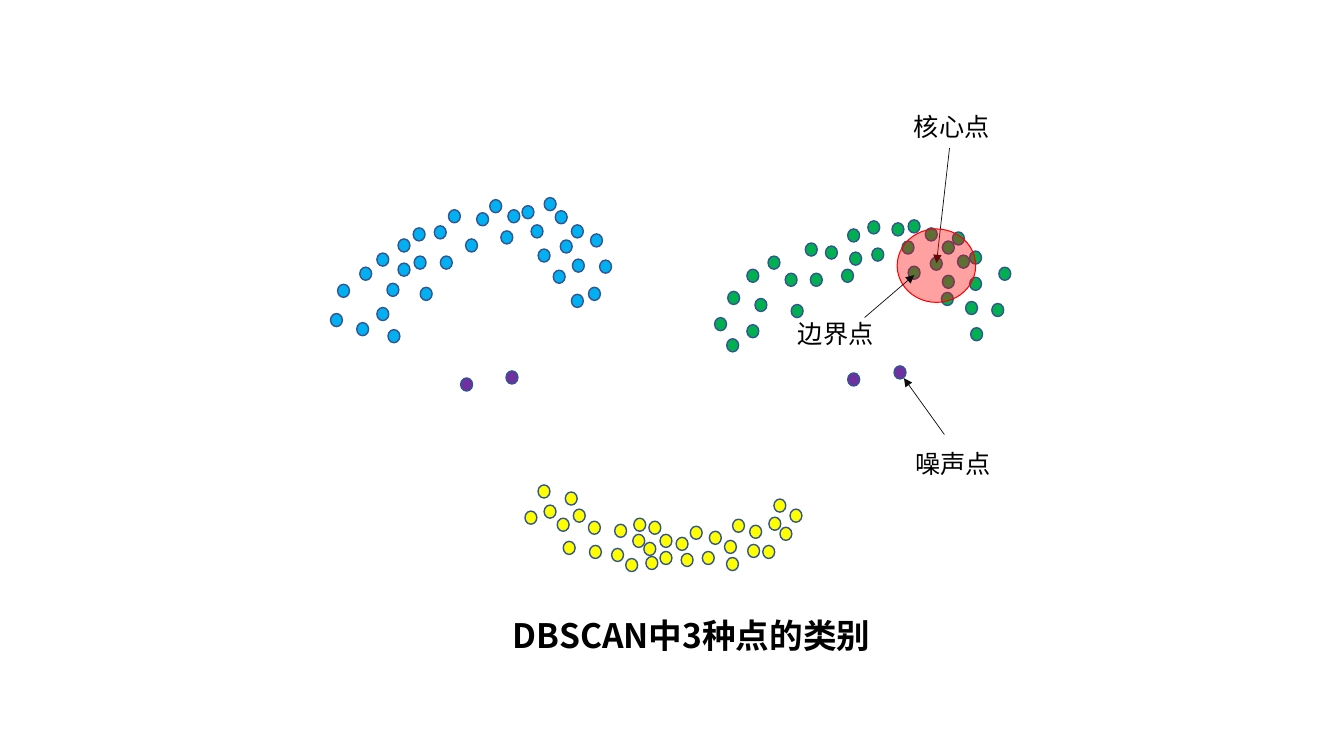
from lxml.etree import SubElement
from pptx import Presentation
from pptx.dml.color import RGBColor
from pptx.enum.shapes import MSO_CONNECTOR as CONNECTOR, MSO_SHAPE as SHAPE
from pptx.enum.text import MSO_ANCHOR as ANCHOR, MSO_AUTO_SIZE as AUTO_SIZE, PP_ALIGN as ALIGN
from pptx.oxml.ns import qn
from pptx.util import Cm, Pt

FONT = "Noto Sans CJK SC"
BLACK = RGBColor(0x00, 0x00, 0x00)
ARROW = RGBColor(0x0D, 0x0D, 0x0D)
OUTLINE = RGBColor(0x32, 0x54, 0x91)
BLUE = RGBColor(0x00, 0xB0, 0xF0)
GREEN = RGBColor(0x00, 0xB0, 0x50)
YELLOW = RGBColor(0xFF, 0xFF, 0x00)
PURPLE = RGBColor(0x70, 0x30, 0xA0)
RED = RGBColor(0xFF, 0x00, 0x00)

DOT_WIDTH, DOT_HEIGHT = Cm(0.3), Cm(0.33)
GRID = Cm(2.54) // 100  # one step of the point coordinates below

BLUE_POINTS = [
    (67, 41), (7, 86), (109, 58), (103, 28), (67, 65), (46, 109), (56, 85),
    (89, 89), (57, 131), (26, 124), (267, 62), (0, 115), (169, 33), (145, 15),
    (206, 51), (199, 27), (190, 8), (134, 41), (83, 58), (29, 69), (46, 55),
    (158, 2), (82, 30), (117, 12), (221, 72), (228, 42), (239, 96), (240, 61),
    (239, 27), (256, 89), (223, 13), (176, 12), (212, 0), (258, 36),
]
GREEN_POINTS = [
    (53, 36), (40, 78), (95, 53), (90, 23), (0, 97), (32, 104), (13, 71),
    (76, 84), (241, 35), (12, 118), (253, 57), (254, 107), (156, 28), (132, 9),
    (192, 46), (186, 21), (176, 3), (126, 49), (70, 53), (275, 83), (32, 49),
    (152, 1), (110, 26), (134, 32), (225, 72), (214, 37), (282, 47), (226, 55),
    (226, 21), (249, 81), (209, 8), (192, 0), (236, 12), (253, 31),
]
YELLOW_POINTS = [
    (48, 24), (40, 7), (86, 63), (118, 57), (0, 26), (32, 33), (13, 0),
    (108, 33), (64, 60), (200, 72), (221, 59), (38, 56), (89, 39), (100, 73),
    (198, 55), (223, 40), (155, 68), (123, 36), (120, 71), (63, 36), (19, 20),
    (164, 41), (134, 66), (107, 49), (134, 49), (206, 34), (183, 46), (176, 66),
    (263, 24), (247, 14), (236, 60), (150, 52), (253, 42), (242, 32),
]
NOISE_POINTS = [(0, 12), (45, 5), (384, 7), (430, 0)]

# left and top of the group, fill, points
CLUSTERS = [
    (Cm(8.33), Cm(4.98), BLUE, BLUE_POINTS),
    (Cm(18.01), Cm(5.54), GREEN, GREEN_POINTS),
    (Cm(13.23), Cm(12.22), YELLOW, YELLOW_POINTS),
    (Cm(11.61), Cm(9.22), PURPLE, NOISE_POINTS),
]


def add_ellipse(slide, left, top, width, height, fill, line, weight):
    ellipse = slide.shapes.add_shape(SHAPE.OVAL, left, top, width, height)
    ellipse.shadow.inherit = False
    ellipse.fill.solid()
    ellipse.fill.fore_color.rgb = fill
    ellipse.line.color.rgb = line
    ellipse.line.width = weight
    return ellipse


def add_cluster(slide, left, top, fill, points):
    for x, y in points:
        add_ellipse(slide, left + x * GRID, top + y * GRID,
                    DOT_WIDTH, DOT_HEIGHT, fill, OUTLINE, Pt(1))


def add_neighbourhood(slide, left, top, width, height):
    """Translucent circle around the core point."""
    circle = add_ellipse(slide, left, top, width, height, RED, RED, Pt(0.75))
    color = circle.fill._xPr.find(qn("a:solidFill"))[0]
    SubElement(color, qn("a:alpha"), val="37000")


def write_text(frame, text, size, bold=False):
    frame.auto_size = AUTO_SIZE.SHAPE_TO_FIT_TEXT
    frame.vertical_anchor = ANCHOR.TOP
    para = frame.paragraphs[0]
    para.alignment = ALIGN.LEFT
    span = para.add_run()
    span.text = text
    span.font.name = FONT
    span.font.size = size
    span.font.bold = bold
    span.font.color.rgb = BLACK
    SubElement(span.font._element, qn("a:ea"), typeface=FONT)


def add_callout(slide, left, top, text, start, end):
    """Label with an arrow; start and end are offsets from the label's corner."""
    arrow = slide.shapes.add_connector(
        CONNECTOR.STRAIGHT, left + start[0], top + start[1], left + end[0], top + end[1])
    arrow.line.color.rgb = ARROW
    arrow.line.width = Pt(0.5)
    SubElement(arrow.line._get_or_add_ln(), qn("a:tailEnd"), type="triangle")
    SubElement(arrow._element.spPr, qn("a:effectLst"))

    label = slide.shapes.add_textbox(left, top, Cm(2.44), Cm(1.02))
    label.text_frame.word_wrap = False
    write_text(label.text_frame, text, Pt(18))


def format_title(title, left, top, width, height):
    title.left, title.top, title.width, title.height = left, top, width, height
    title.text_frame.word_wrap = True
    write_text(title.text_frame, "DBSCAN中3种点的类别", Pt(24), bold=True)


def build_point_types_slide(deck):
    slide = deck.slides.add_slide(deck.slide_layouts[5])
    for cluster in CLUSTERS:
        add_cluster(slide, *cluster)
    add_callout(slide, Cm(22.78), Cm(2.69), "核心点",
                (Cm(1.15), Cm(1.04)), (Cm(0.82), Cm(3.94)))
    add_neighbourhood(slide, Cm(22.61), Cm(5.77), Cm(1.98), Cm(1.85))
    add_callout(slide, Cm(22.81), Cm(11.18), "噪声点",
                (Cm(0.99), Cm(-0.23)), (Cm(-0.03), Cm(-1.65)))
    add_callout(slide, Cm(19.86), Cm(7.9), "边界点",
                (Cm(1.93), Cm(0.1)), (Cm(3.18), Cm(-0.97)))
    format_title(slide.shapes.title, Cm(12.67), Cm(15.37), Cm(10.13), Cm(1.27))


def main():
    deck = Presentation()
    deck.slide_width, deck.slide_height = Cm(33.87), Cm(19.05)
    build_point_types_slide(deck)
    deck.save("out.pptx")


if __name__ == "__main__":
    main()
